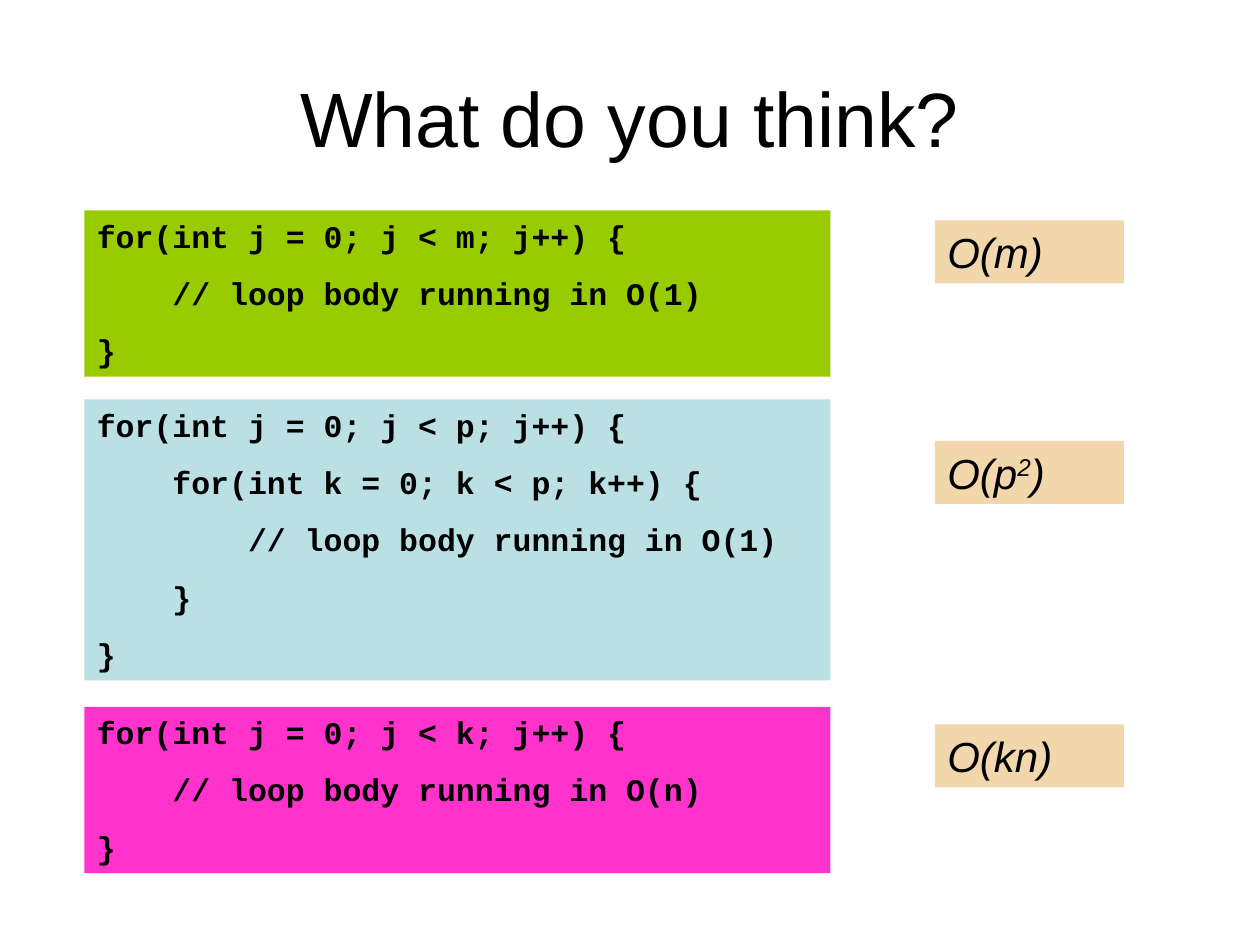
import pptx
import pptx.util
from pptx.dml.color import RGBColor
from pptx.enum.shapes import MSO_SHAPE
from pptx.enum.text import MSO_ANCHOR, MSO_AUTO_SIZE, PP_ALIGN
from pptx.util import Inches, Pt

COLORS = {
    "text": "000000",
    "linear": "99CC00",
    "quadratic": "BBE0E3",
    "product": "FF33CC",
    "answer": "F2D6AC",
}
TITLE = "What do you think?"

# Code lines are (indent level, text); answers are (text, superscript) runs.
LOOPS = [
    {"fill": "linear", "top": 1.67, "height": 1.32, "answer_top": 1.75,
     "code": [(0, "for(int j = 0; j < m; j++) {"),
              (1, "// loop body running in O(1)"),
              (0, "}")],
     "answer": [("O(m)", False)]},
    {"fill": "quadratic", "top": 3.17, "height": 2.23, "answer_top": 3.5,
     "code": [(0, "for(int j = 0; j < p; j++) {"),
              (1, "for(int k = 0; k < p; k++) {"),
              (2, "// loop body running in O(1)"),
              (1, "}"),
              (0, "}")],
     "answer": [("O(p", False), ("2", True), (")", False)]},
    {"fill": "product", "top": 5.61, "height": 1.32, "answer_top": 5.75,
     "code": [(0, "for(int j = 0; j < k; j++) {"),
              (1, "// loop body running in O(n)"),
              (0, "}")],
     "answer": [("O(kn)", False)]},
]
CODE_LEFT, CODE_WIDTH = 0.67, 5.92
ANSWER_LEFT, ANSWER_WIDTH, ANSWER_HEIGHT = 7.42, 1.5, 0.5
INDENT = 0.6  # four Courier New characters at 18 pt


def write(paragraph, text, *, size, font="Arial", bold=False, italic=False,
          superscript=False, align=PP_ALIGN.LEFT, before=0, level=0):
    """Append a formatted run and set the layout of its paragraph."""
    paragraph.alignment = align
    paragraph.space_before = Pt(before)
    properties = paragraph._p.get_or_add_pPr()
    properties.set("marL", str(Inches(INDENT * level)))
    properties.set("indent", "0")
    run = paragraph.add_run()
    run.text = text
    run.font.size = Pt(size)
    run.font.name = font
    run.font.bold = bold
    run.font.italic = italic
    run.font.color.rgb = RGBColor.from_string(COLORS["text"])
    if superscript:
        run.font._element.set("baseline", "30000")


def add_panel(slide, left, top, width, height, fill):
    """Add a borderless filled box and return its text frame."""
    panel = slide.shapes.add_shape(
        MSO_SHAPE.RECTANGLE, Inches(left), Inches(top), Inches(width), Inches(height))
    panel.shadow.inherit = False
    panel.fill.solid()
    panel.fill.fore_color.rgb = RGBColor.from_string(COLORS[fill])
    panel.line.fill.background()
    frame = panel.text_frame
    frame.word_wrap = True
    frame.auto_size = MSO_AUTO_SIZE.SHAPE_TO_FIT_TEXT
    frame.vertical_anchor = MSO_ANCHOR.TOP
    return frame


def main():
    deck = pptx.Presentation()
    deck.slide_width, deck.slide_height = Inches(10), Inches(7.5)
    slide = deck.slides.add_slide(deck.slide_layouts.get_by_name("Title Only"))

    title = slide.shapes.title
    title.left, title.top = Inches(0.5), Inches(0.3)
    title.width, title.height = Inches(9), Inches(1.25)
    title.text_frame.vertical_anchor = MSO_ANCHOR.MIDDLE
    write(title.text_frame.paragraphs[0], TITLE, size=44, align=PP_ALIGN.CENTER)

    for loop in LOOPS:
        code = add_panel(slide, CODE_LEFT, loop["top"], CODE_WIDTH,
                         loop["height"], loop["fill"])
        for number, (level, line) in enumerate(loop["code"]):
            paragraph = code.add_paragraph() if number else code.paragraphs[0]
            write(paragraph, line, size=18, font="Courier New", bold=True,
                  before=11.2, level=level)

        answer = add_panel(slide, ANSWER_LEFT, loop["answer_top"], ANSWER_WIDTH,
                           ANSWER_HEIGHT, "answer")
        for text, raised in loop["answer"]:
            write(answer.paragraphs[0], text, size=24, italic=True,
                  superscript=raised, before=15)

    deck.save("out.pptx")


if __name__ == "__main__":
    main()
